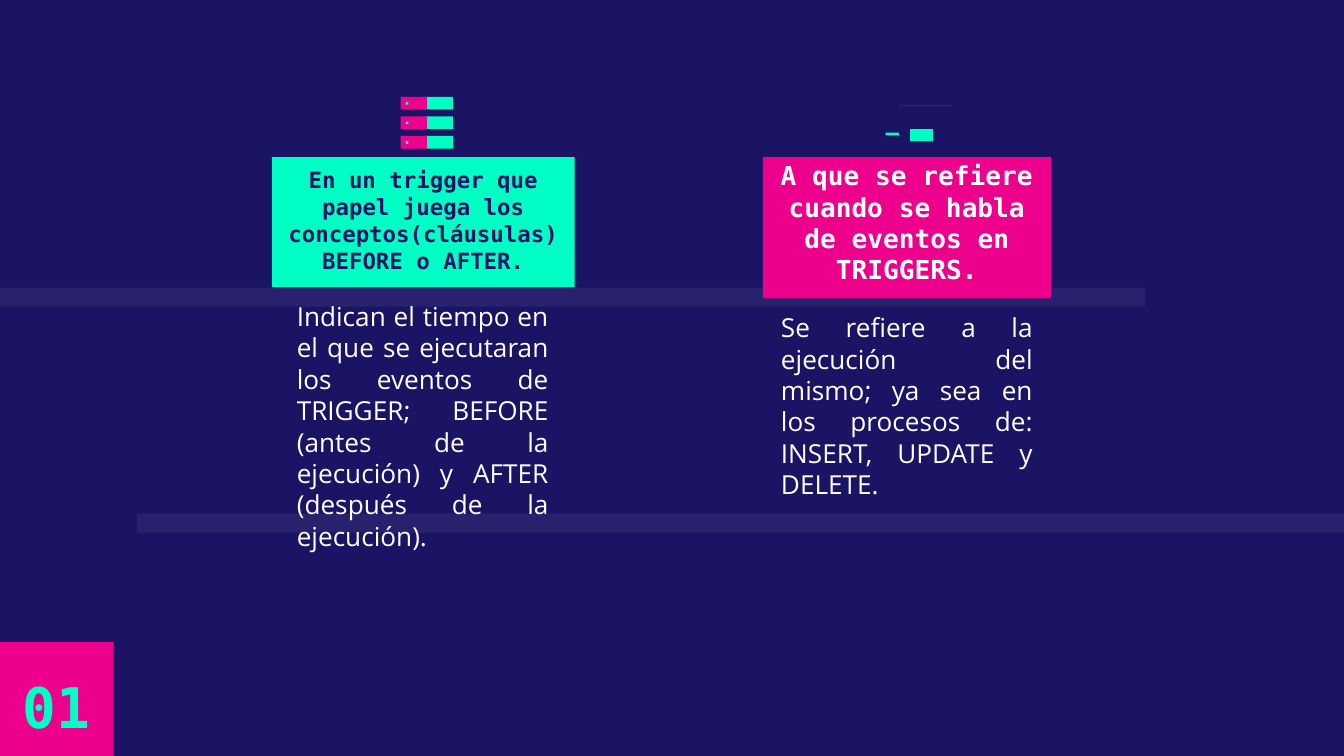
from dataclasses import dataclass

from lxml import etree
from pptx import Presentation
from pptx import util as u
from pptx.dml.color import RGBColor
from pptx.enum import shapes, text
from pptx.oxml.ns import qn

NAVY = RGBColor(0x1B, 0x14, 0x64)
PINK = RGBColor(0xEC, 0x00, 0x8C)
TEAL = RGBColor(0x00, 0xFF, 0xC5)
WHITE = RGBColor(0xFF, 0xFF, 0xFF)
MONO, SANS = "DejaVu Sans Mono", "Open Sans"
LINE_HEIGHT = 1.2
CURVE_STEPS = 8

Point = tuple[float, float]


@dataclass(frozen=True)
class Box:
    """Left, top, width and height in centimetres."""
    left: float
    top: float
    width: float
    height: float

    def lengths(self) -> tuple[u.Length, ...]:
        return tuple(u.Cm(n) for n in (self.left, self.top, self.width, self.height))


@dataclass(frozen=True)
class TextStyle:
    font: str
    size: float
    color: RGBColor
    align: text.PP_ALIGN = text.PP_ALIGN.CENTER
    anchor: text.MSO_ANCHOR = text.MSO_ANCHOR.TOP
    bold: bool = True


@dataclass(frozen=True)
class Topic:
    question: str
    question_box: Box
    fill: RGBColor
    question_style: TextStyle
    answer: str
    answer_box: Box


def paint(shape, color: RGBColor) -> None:
    shape.shadow.inherit = False
    shape.fill.solid()
    shape.fill.fore_color.rgb = color
    shape.line.fill.background()


def add_block(parent, box: Box, color: RGBColor):
    shape = parent.add_shape(shapes.MSO_SHAPE.RECTANGLE, *box.lengths())
    paint(shape, color)
    return shape


def set_opacity(shape, percent: int) -> None:
    color = shape.fill._xPr.find(qn("a:solidFill"))[0]
    etree.SubElement(color, qn("a:alpha")).set("val", str(percent * 1000))


def write(shape, words: str, style: TextStyle) -> None:
    frame = shape.text_frame
    frame.word_wrap = True
    frame.vertical_anchor = style.anchor
    frame.margin_left = frame.margin_right = u.Cm(0.25)
    frame.margin_top = frame.margin_bottom = u.Cm(0.25)
    paragraph = frame.paragraphs[0]
    paragraph.text = words
    paragraph.alignment = style.align
    paragraph.line_spacing = u.Pt(style.size * LINE_HEIGHT)
    paragraph.font.name = style.font
    paragraph.font.size = u.Pt(style.size)
    paragraph.font.bold = style.bold
    paragraph.font.color.rgb = style.color


def bezier(start: Point, first: Point, second: Point, end: Point) -> list[Point]:
    points = []
    for step in range(1, CURVE_STEPS + 1):
        t = step / CURVE_STEPS
        weights = ((1 - t) ** 3, 3 * t * (1 - t) ** 2, 3 * t * t * (1 - t), t ** 3)
        controls = (start, first, second, end)
        points.append(tuple(sum(w * c[axis] for w, c in zip(weights, controls))
                            for axis in (0, 1)))
    return points


def add_outline(parent, start: Point, segments: list[tuple[Point, ...]],
                color: RGBColor) -> None:
    """Segments of one point are lines; segments of three are Bezier curves."""
    points = [start]
    for segment in segments:
        points += segment if len(segment) == 1 else bezier(points[-1], *segment)
    builder = parent.build_freeform(*start, scale=float(u.Cm(1)))
    builder.add_line_segments(points[1:], close=True)
    paint(builder.convert_to_shape(), color)


def add_server_icon(slide) -> None:
    icon = slide.shapes.add_group_shape().shapes
    for row in range(3):
        top = 1.83 + 0.37 * row
        add_block(icon, Box(8.03, top, 0.53, 0.24), TEAL)
        add_block(icon, Box(7.57, top, 0.5, 0.24), PINK)
        add_block(icon, Box(7.67, top + 0.1, 0.05, 0.05), TEAL)


def add_cloud_icon(slide) -> None:
    icon = slide.shapes.add_group_shape().shapes
    fork = [(17.12, 2.26), (16.84, 2.26), (16.84, 2.44), (16.89, 2.44),
            (16.89, 2.34), (17.37, 2.34), (17.37, 2.44), (17.45, 2.44),
            (17.45, 2.26), (17.17, 2.26), (17.17, 2.13)]
    add_outline(icon, (17.12, 2.13), [(point,) for point in fork], PINK)
    add_block(icon, Box(17.2, 2.44, 0.43, 0.23), TEAL)
    add_block(icon, Box(16.74, 2.51, 0.25, 0.05), TEAL)
    add_outline(icon, (17.15, 1.73), [
        ((17.09, 1.96),), ((17.15, 2.18),), ((17.42, 2.18),),
        ((17.5, 2.18), (17.55, 2.11), (17.55, 2.06)),
        ((17.55, 1.98), (17.5, 1.93), (17.42, 1.93)),
        ((17.42, 1.85), (17.35, 1.78), (17.27, 1.78)),
        ((17.25, 1.78), (17.22, 1.78), (17.2, 1.8)),
        ((17.2, 1.78), (17.17, 1.75), (17.15, 1.73)),
    ], TEAL)
    add_outline(icon, (17.02, 1.68), [
        ((16.92, 1.68), (16.84, 1.78), (16.84, 1.88)),
        ((16.84, 1.93),),
        ((16.79, 1.93), (16.74, 1.98), (16.74, 2.06)),
        ((16.74, 2.11), (16.79, 2.18), (16.87, 2.18)),
        ((17.15, 2.18),), ((17.15, 1.73),),
        ((17.1, 1.7), (17.07, 1.68), (17.02, 1.68)),
    ], WHITE)


BANDS = [Box(0, 5.44, 21.64, 0.36), Box(2.59, 9.71, 22.81, 0.36)]
NUMBER_STYLE = TextStyle(MONO, 30, TEAL)
ANSWER_STYLE = TextStyle(SANS, 14, WHITE, text.PP_ALIGN.JUSTIFY, bold=False)
TOPICS = [
    Topic("En un trigger que papel juega los conceptos(cláusulas) BEFORE o AFTER.",
          Box(5.14, 2.97, 5.72, 2.46), TEAL,
          TextStyle(MONO, 12, NAVY, anchor=text.MSO_ANCHOR.BOTTOM),
          "Indican el tiempo en el que se ejecutaran los eventos de TRIGGER; "
          "BEFORE (antes de la ejecución) y AFTER (después de la ejecución).",
          Box(5.36, 5.43, 5.26, 2.13)),
    Topic("A que se refiere cuando se habla de eventos en TRIGGERS.",
          Box(14.42, 2.97, 5.44, 2.67), PINK,
          TextStyle(MONO, 14, WHITE, anchor=text.MSO_ANCHOR.BOTTOM),
          "Se refiere a la ejecución del mismo; ya sea en los procesos de: "
          "INSERT, UPDATE y DELETE.",
          Box(14.51, 5.64, 5.26, 1.85)),
]

presentation = Presentation()
presentation.slide_width, presentation.slide_height = u.Cm(25.4), u.Cm(14.29)
slide = presentation.slides.add_slide(presentation.slide_layouts[6])
slide.background.fill.solid()
slide.background.fill.fore_color.rgb = NAVY

# Background bands
for band in BANDS:
    set_opacity(add_block(slide.shapes, band, WHITE), 6)

# Section number
add_block(slide.shapes, Box(0, 12.14, 2.15, 2.15), PINK)
number = slide.shapes.add_textbox(*Box(0.15, 12.47, 1.84, 1.47).lengths())
write(number, "01", NUMBER_STYLE)

# Questions and answers
for topic in TOPICS:
    answer = slide.shapes.add_textbox(*topic.answer_box.lengths())
    write(answer, topic.answer, ANSWER_STYLE)
    question = add_block(slide.shapes, topic.question_box, topic.fill)
    write(question, topic.question, topic.question_style)

# Icons
add_cloud_icon(slide)
add_server_icon(slide)

presentation.save("out.pptx")
